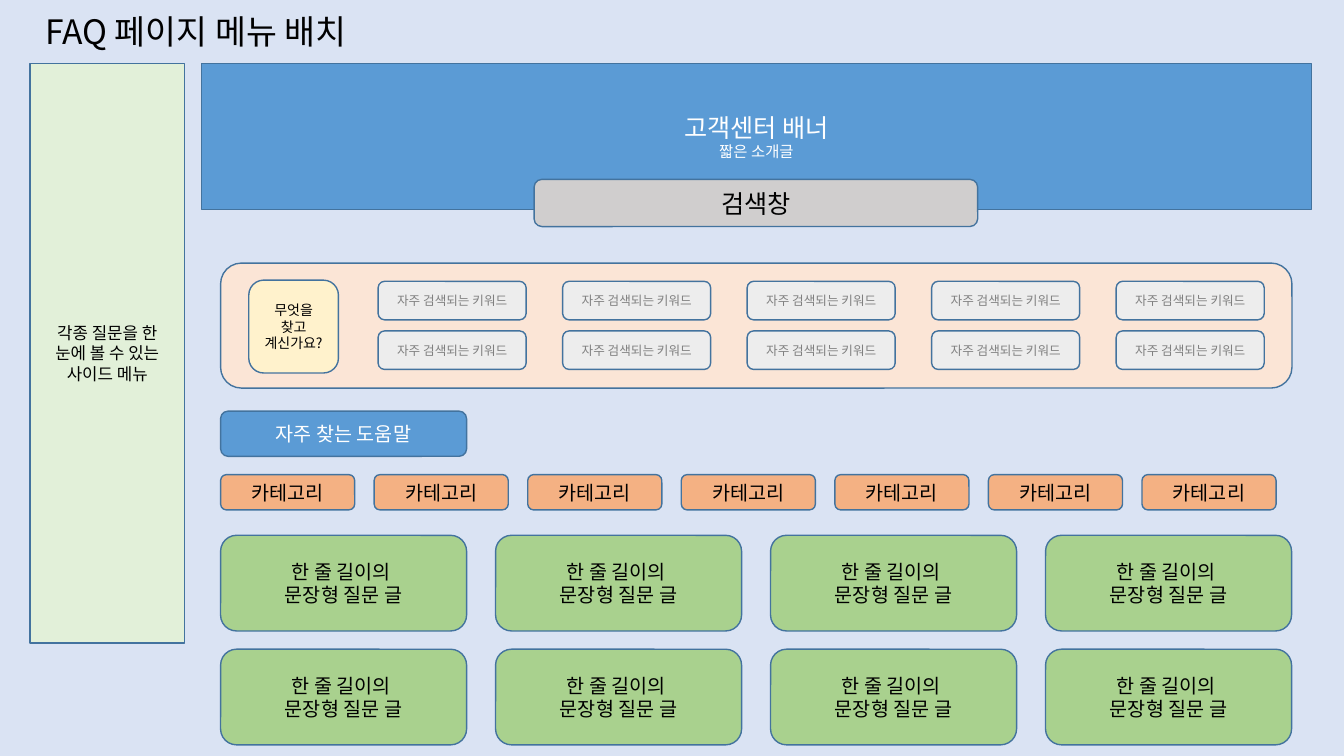
from lxml import etree
from pptx import Presentation
from pptx import util as u
from pptx.dml.color import RGBColor
from pptx.enum import shapes, text
from pptx.oxml.ns import qn

FONT = "Noto Sans CJK KR"
COLORS = {
    "background": "DAE3F3", "outline": "43739E", "blue": "5B9BD5",
    "gray": "D0CECE", "peach": "FBE5D6", "light gray": "EDEDED",
    "yellow": "FFF2CC", "mint": "E2F0D9", "orange": "F4B183",
    "green": "A9D18E", "white": "FFFFFF", "black": "000000",
    "dim": "808080",
}
RECTANGLE = shapes.MSO_SHAPE.RECTANGLE
ROUNDED = shapes.MSO_SHAPE.ROUNDED_RECTANGLE

TITLE = ("FAQ 페이지 메뉴 배치", 24)
TITLE_BOX = (0.89, 0.15, 15.57, 1.27)

# kind, box (left, top, width, height), fill, text colour, lines (wording, points)
BLOCKS = [
    (RECTANGLE, (5.08, 1.6, 27.97, 3.68), "blue", "white",
     [("고객센터 배너", 18), ("짧은 소개글", 11)]),
    (ROUNDED, (13.46, 4.52, 11.18, 1.19), "gray", "black", [("검색창", 18)]),
    (ROUNDED, (5.56, 6.63, 27, 3.15), "peach", "black", []),
    (ROUNDED, (6.27, 7.06, 2.26, 2.34), "yellow", "black",
     [("무엇을 찾고 계신가요?", 10)]),
    (RECTANGLE, (0.76, 1.6, 3.89, 14.6), "mint", "black",
     [("각종 질문을 한 눈에 볼 수 있는 사이드 메뉴", 12)]),
    (ROUNDED, (5.56, 10.36, 6.2, 1.14), "blue", "white",
     [("자주 찾는 도움말", 14)]),
]

GRIDS = [
    {"columns": 5, "rows": 2, "step": (4.65, 1.25),
     "first": (9.53, 7.09, 3.73, 0.97), "fill": "light gray",
     "color": "dim", "lines": [("자주 검색되는 키워드", 9)]},
    {"columns": 7, "rows": 1, "step": (3.87, 0),
     "first": (5.56, 11.96, 3.38, 0.89), "fill": "orange",
     "color": "black", "lines": [("카테고리", 14)]},
    {"columns": 4, "rows": 2, "step": (6.93, 2.87),
     "first": (5.56, 13.49, 6.2, 2.41), "fill": "green",
     "color": "black", "lines": [("한 줄 길이의 ", 14), ("문장형 질문 글", 14)]},
]


def rgb(name):
    """Return the named colour."""
    return RGBColor.from_string(COLORS[name])


def write_lines(frame, lines, color, alignment):
    """Write one paragraph per line into a text frame."""
    frame.word_wrap = True
    for index, (wording, size) in enumerate(lines):
        paragraph = frame.add_paragraph() if index else frame.paragraphs[0]
        paragraph.text = wording
        paragraph.alignment = alignment
        paragraph.font.size = u.Pt(size)
        paragraph.font.color.rgb = rgb(color)
        paragraph.font.name = FONT
        defaults = paragraph._p.find(qn("a:pPr")).find(qn("a:defRPr"))
        etree.SubElement(defaults, qn("a:ea")).set("typeface", FONT)


def add_block(slide, kind, box, fill, color, lines):
    """Draw one outlined block with centred text."""
    shape = slide.shapes.add_shape(kind, *map(u.Cm, box))
    shape.shadow.inherit = False
    shape.fill.solid()
    shape.fill.fore_color.rgb = rgb(fill)
    shape.line.color.rgb = rgb("outline")
    shape.line.width = u.Pt(1)
    shape.text_frame.vertical_anchor = text.MSO_ANCHOR.MIDDLE
    write_lines(shape.text_frame, lines, color, text.PP_ALIGN.CENTER)


def add_grid(slide, grid):
    """Draw equal blocks in evenly spaced rows and columns."""
    left, top, width, height = grid["first"]
    step_x, step_y = grid["step"]
    for row in range(grid["rows"]):
        for column in range(grid["columns"]):
            box = (left + column * step_x, top + row * step_y, width, height)
            add_block(slide, ROUNDED, box, grid["fill"], grid["color"], grid["lines"])


def main():
    """Build the FAQ page layout slide."""
    presentation = Presentation()
    presentation.slide_width = u.Cm(33.87)
    presentation.slide_height = u.Cm(19.05)
    slide = presentation.slides.add_slide(presentation.slide_layouts[6])
    slide.background.fill.solid()
    slide.background.fill.fore_color.rgb = rgb("background")
    for block in BLOCKS:
        add_block(slide, *block)
    for grid in GRIDS:
        add_grid(slide, grid)
    title = slide.shapes.add_textbox(*map(u.Cm, TITLE_BOX))
    write_lines(title.text_frame, [TITLE], "black", text.PP_ALIGN.LEFT)
    presentation.save("out.pptx")


if __name__ == "__main__":
    main()
